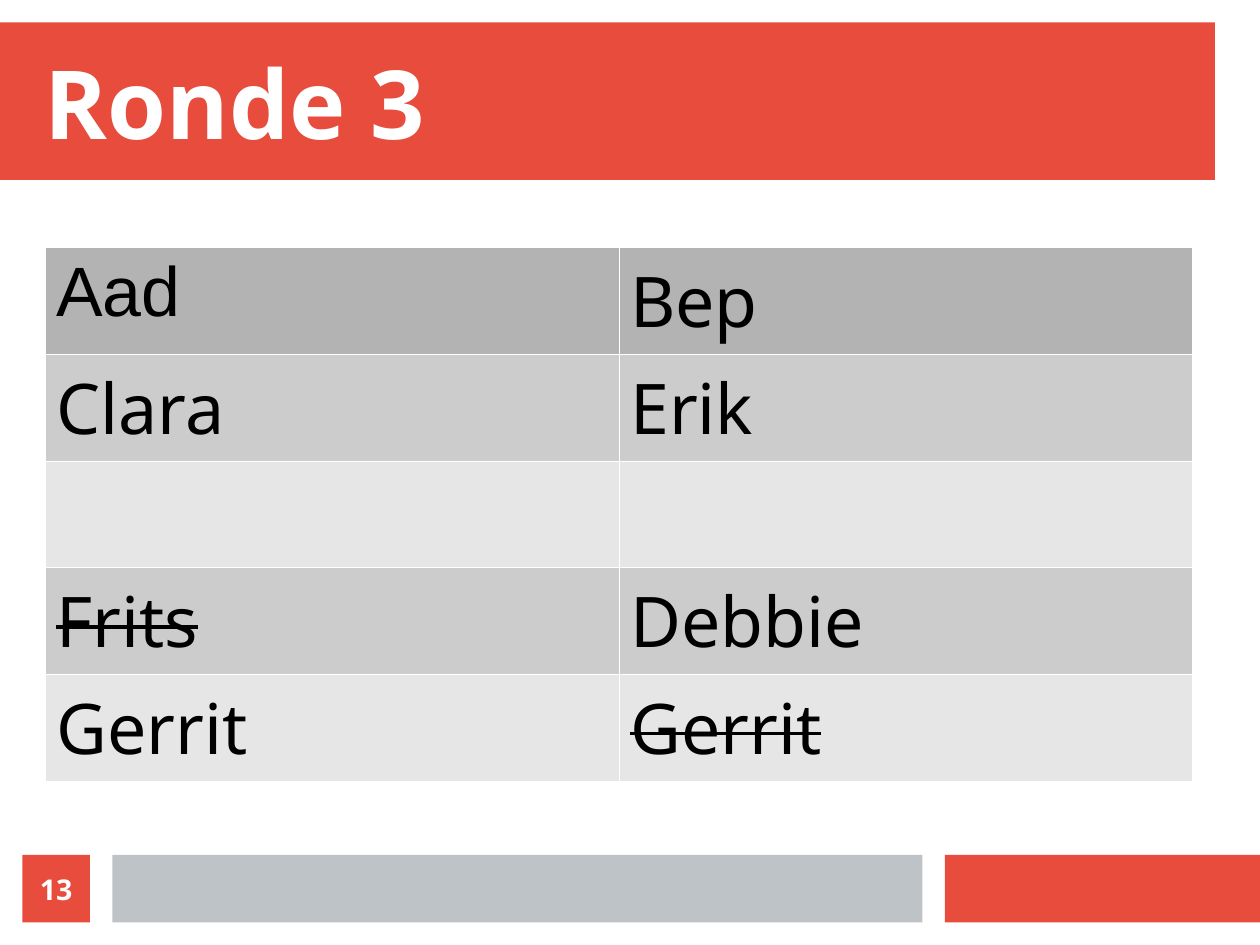
from lxml import etree
from pptx import Presentation
from pptx import util as u
from pptx.dml.color import RGBColor
from pptx.enum import shapes, text
from pptx.oxml import ns

RED = RGBColor(0xE7, 0x4C, 0x3C)
SILVER = RGBColor(0xBD, 0xC3, 0xC7)
WHITE = RGBColor(0xFF, 0xFF, 0xFF)
BLACK = RGBColor(0, 0, 0)
HEADER = RGBColor(0xB3, 0xB3, 0xB3)
BANDS = (RGBColor(0xE6, 0xE6, 0xE6), RGBColor(0xCC, 0xCC, 0xCC))

# Each pair faces each other; the third row stays free.
PAIRS = [("Aad", "Bep"), ("Clara", "Erik"), ("", ""),
         ("Frits", "Debbie"), ("Gerrit", "Gerrit")]
STRUCK = {(3, 0), (4, 1)}
ARIAL_CELL = (0, 0)


class RoundSlide:
    """Holds the font and the current slide."""

    def __init__(self, deck, font="Noto Sans"):
        self.font = font
        self.page = deck.slides.add_slide(deck.slide_layouts[5])

    def format_spans(self, para, size, color, bold=False, font=None):
        for span in para.runs:
            span.font.name = font or self.font
            span.font.size = u.Pt(size)
            span.font.bold = bold
            span.font.color.rgb = color

    def fill_frame(self, frame, words, size, align):
        """Put one line of bold white text in a frame without margins."""
        frame.text = words
        frame.word_wrap = True
        frame.auto_size = text.MSO_AUTO_SIZE.NONE
        frame.vertical_anchor = text.MSO_ANCHOR.MIDDLE
        frame.margin_left = frame.margin_right = 0
        frame.margin_top = frame.margin_bottom = 0
        para = frame.paragraphs[0]
        para.alignment = align
        self.format_spans(para, size, WHITE, bold=True)

    def bar(self, left, top, width, height, color):
        box = self.page.shapes.add_shape(
            shapes.MSO_SHAPE.RECTANGLE,
            u.Cm(left), u.Cm(top), u.Cm(width), u.Cm(height))
        box.shadow.inherit = False
        box.fill.solid()
        box.fill.fore_color.rgb = color
        box.line.fill.background()
        return box

    def title(self, words, left, top, width, height):
        title = self.page.shapes.title
        title.left, title.top = u.Cm(left), u.Cm(top)
        title.width, title.height = u.Cm(width), u.Cm(height)
        self.fill_frame(title.text_frame, words, 60, text.PP_ALIGN.LEFT)
        # The placeholder comes first in the tree; lift it above the bars.
        self.page.shapes._spTree.append(title._element)

    def page_number(self, number, left, top, size):
        box = self.bar(left, top, size, size, RED)
        self.fill_frame(box.text_frame, number, 18, text.PP_ALIGN.CENTER)

    def cell_borders(self, cell):
        """Draw white hairlines on all four sides."""
        properties = cell._tc.get_or_add_tcPr()
        for side in ("a:lnL", "a:lnR", "a:lnT", "a:lnB"):
            line = etree.SubElement(properties, ns.qn(side), w=str(u.Pt(0.06)))
            fill = etree.SubElement(line, ns.qn("a:solidFill"))
            etree.SubElement(fill, ns.qn("a:srgbClr"), val=str(WHITE))

    def pair_table(self, pairs, left, top, width, row_height):
        table = self.page.shapes.add_table(
            len(pairs), 2, u.Cm(left), u.Cm(top),
            u.Cm(width), u.Cm(row_height * len(pairs))).table
        for row, names in enumerate(pairs):
            table.rows[row].height = u.Cm(row_height)
            for column, name in enumerate(names):
                cell = table.cell(row, column)
                self.cell_borders(cell)
                cell.fill.solid()
                cell.fill.fore_color.rgb = BANDS[row % 2] if row else HEADER
                if not name:
                    continue
                cell.text = name
                para = cell.text_frame.paragraphs[0]
                font = "Arial" if (row, column) == ARIAL_CELL else None
                self.format_spans(para, 44, BLACK, font=font)
                if (row, column) in STRUCK:
                    para.runs[0]._r.get_or_add_rPr().set("strike", "sngStrike")


def main():
    deck = Presentation()
    deck.slide_width, deck.slide_height = u.Cm(28), u.Cm(21)

    slide = RoundSlide(deck)
    slide.bar(0, 0.5, 27, 3.5, RED)
    slide.bar(21, 19, 7, 1.5, RED)
    slide.bar(2.5, 19, 18, 1.5, SILVER)
    slide.pair_table(PAIRS, left=1, top=5.5, width=25.5, row_height=2.36)
    slide.title("Ronde 3", 1, 1, 26, 2.5)
    slide.page_number("13", 0.5, 19, 1.5)

    deck.save("out.pptx")


if __name__ == "__main__":
    main()
